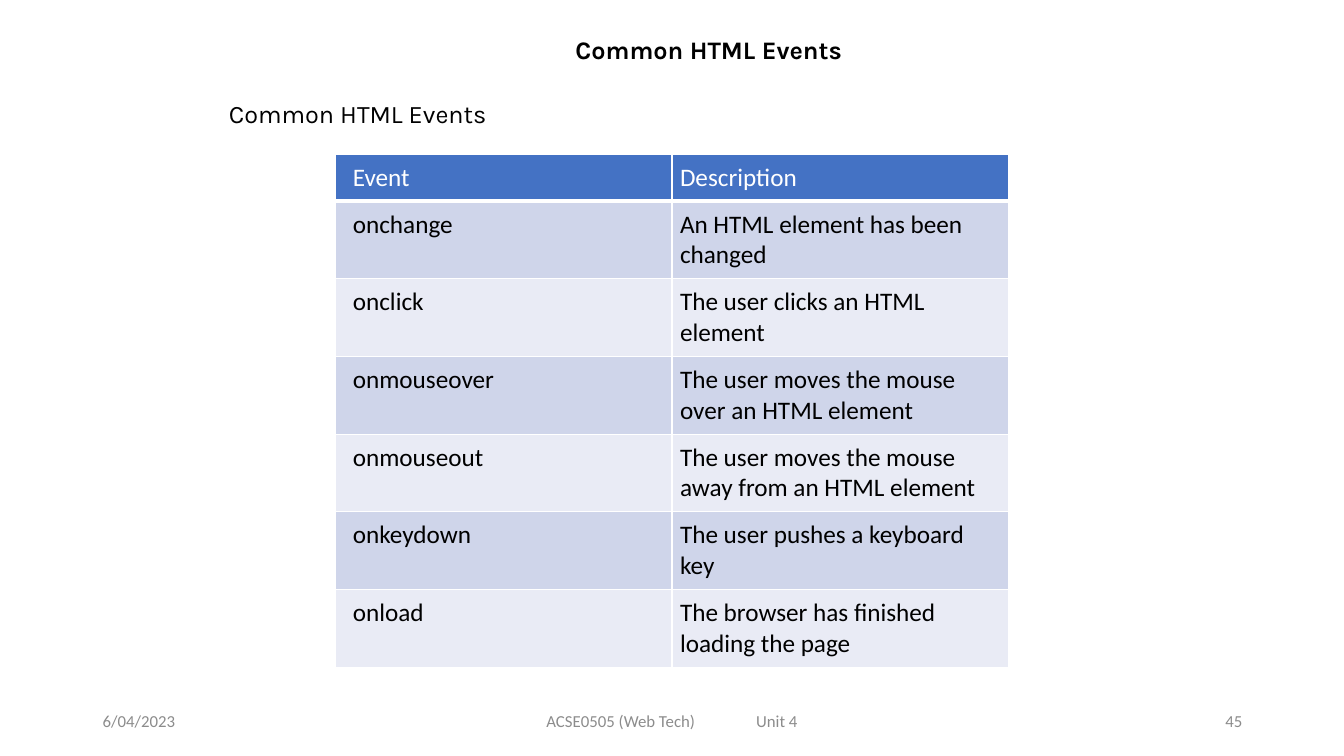
from pptx import Presentation
from pptx.dml.color import RGBColor
from pptx.enum.text import MSO_ANCHOR, MSO_AUTO_SIZE, PP_ALIGN
from pptx.oxml.ns import qn
from pptx.util import Inches, Pt
from lxml.etree import SubElement

EVENTS = [
    ("Event", "Description"),
    ("onchange", "An HTML element has been changed"),
    ("onclick", "The user clicks an HTML element"),
    ("onmouseover", "The user moves the mouse over an HTML element"),
    ("onmouseout", "The user moves the mouse away from an HTML element"),
    ("onkeydown", "The user pushes a keyboard key"),
    ("onload", "The browser has finished loading the page"),
]
HEADING = "Common HTML Events"
BLACK, WHITE, GRAY = "000000", "FFFFFF", "8C8C8C"
HEADER_FILL, BAND_FILLS = "4472C4", ("CFD5EA", "E9EBF5")


def color(value):
    return RGBColor.from_string(value)


def style(paragraph, name, size, value, bold=False):
    font = paragraph.font
    font.name, font.size, font.bold = name, Pt(size), bold
    font.color.rgb = color(value)


def place(shape, left, top, width, height):
    shape.left, shape.top = Inches(left), Inches(top)
    shape.width, shape.height = Inches(width), Inches(height)


def fill_title(shape, left, top, width, height):
    place(shape, left, top, width, height)
    frame = shape.text_frame
    frame.text = HEADING
    frame.word_wrap = False
    frame.auto_size = MSO_AUTO_SIZE.SHAPE_TO_FIT_TEXT
    frame.vertical_anchor = MSO_ANCHOR.TOP
    paragraph = frame.paragraphs[0]
    paragraph.alignment = PP_ALIGN.CENTER
    style(paragraph, "Karla", 18, BLACK, True)


def fill_body(shape, left, top, width, height):
    place(shape, left, top, width, height)
    frame = shape.text_frame
    frame.text = HEADING
    frame.auto_size = MSO_AUTO_SIZE.NONE
    paragraph = frame.paragraphs[0]
    paragraph.line_spacing = 0.9
    paragraph.space_before = Pt(0)
    properties = paragraph._p.get_or_add_pPr()
    properties.set("marL", "0")
    properties.set("indent", "0")
    SubElement(properties, qn("a:buNone"))
    style(paragraph, "Karla", 18, BLACK)


def add_borders(cell, bottom_width):
    properties = cell._tc.get_or_add_tcPr()
    for side, width in (("L", 1), ("R", 1), ("T", 1), ("B", bottom_width)):
        line = SubElement(properties, qn(f"a:ln{side}"), w=str(Pt(width)))
        solid = SubElement(line, qn("a:solidFill"))
        SubElement(solid, qn("a:srgbClr"), val=WHITE)


def add_event_table(slide, left, top, width, header_height, row_height):
    height = header_height + row_height * (len(EVENTS) - 1)
    table = slide.shapes.add_table(
        len(EVENTS), 2, Inches(left), Inches(top), Inches(width), Inches(height)
    ).table
    for row_index, texts in enumerate(EVENTS):
        header = row_index == 0
        table.rows[row_index].height = Inches(header_height if header else row_height)
        for column_index, text in enumerate(texts):
            cell = table.cell(row_index, column_index)
            cell.text = text
            cell.margin_left = Inches(0.08 if column_index else 0.17)
            cell.margin_right = cell.margin_top = cell.margin_bottom = Inches(0.08)
            add_borders(cell, 3 if header else 1)
            cell.fill.solid()
            cell.fill.fore_color.rgb = color(
                HEADER_FILL if header else BAND_FILLS[(row_index - 1) % 2]
            )
            style(cell.text_frame.paragraphs[0], "Calibri", 18, WHITE if header else BLACK)


def add_footer_text(slide, left, top, width, height, text,
                    alignment=PP_ALIGN.LEFT, inset=0.1, tab=None):
    shape = slide.shapes.add_textbox(
        Inches(left), Inches(top), Inches(width), Inches(height)
    )
    frame = shape.text_frame
    frame.word_wrap = True
    frame.vertical_anchor = MSO_ANCHOR.MIDDLE
    frame.margin_left = Inches(inset)
    frame.text = text
    paragraph = frame.paragraphs[0]
    paragraph.alignment = alignment
    if tab:
        tabs = SubElement(paragraph._p.get_or_add_pPr(), qn("a:tabLst"))
        SubElement(tabs, qn("a:tab"), pos=str(Inches(tab)), algn="l")
    style(paragraph, "Calibri", 12, GRAY)


def add_footer(slide, left, top, height):
    add_footer_text(slide, left, top, 3, height, "6/04/2023")
    add_footer_text(slide, left + 3.5, top, 4.5, height,
                    "ACSE0505 (Web Tech)\tUnit 4", inset=1, tab=2.08)
    add_footer_text(slide, left + 8.5, top, 3, height, "45", PP_ALIGN.RIGHT)


def main():
    presentation = Presentation()
    presentation.slide_width = Inches(13.33)
    presentation.slide_height = Inches(7.5)
    slide = presentation.slides.add_slide(presentation.slide_layouts[1])
    fill_title(slide.shapes.title, 5.58, 0.29, 2.9, 0.4)
    fill_body(slide.placeholders[1], 2.17, 0.96, 9, 5.79)
    add_event_table(slide, 3.33, 1.53, 6.67, 0.46, 0.77)
    add_footer(slide, 0.92, 6.95, 0.4)
    presentation.save("out.pptx")


if __name__ == "__main__":
    main()
